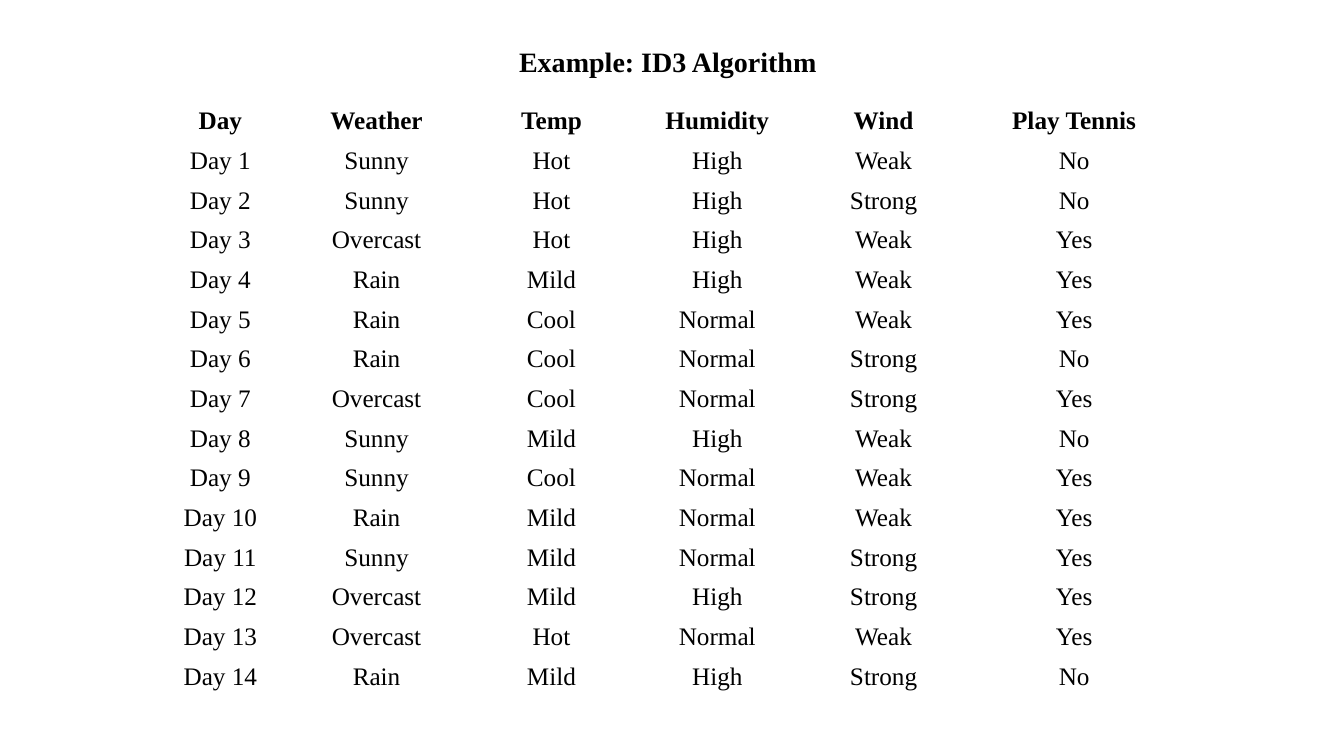
from dataclasses import astuple, dataclass

from lxml import etree
from pptx import Presentation
from pptx.dml.color import RGBColor
from pptx.enum.text import MSO_ANCHOR, MSO_AUTO_SIZE, PP_ALIGN
from pptx.oxml.ns import qn
from pptx.slide import Slide
from pptx.table import _Cell
from pptx.text.text import _Paragraph
from pptx.util import Inches, Pt

CENTER = PP_ALIGN.CENTER
MIDDLE = MSO_ANCHOR.MIDDLE
FIT_SHAPE = MSO_AUTO_SIZE.SHAPE_TO_FIT_TEXT

SLIDE_WIDTH = Inches(13.33)
SLIDE_HEIGHT = Inches(7.5)


@dataclass(frozen=True)
class Theme:
    font: str = "Times New Roman"
    text: str = "000000"
    border: str = "FFFFFF"
    title_size: int = 20
    table_size: int = 18
    border_width: int = 1


@dataclass(frozen=True)
class Box:
    """Place and size in percent of the slide."""
    left: float
    top: float
    width: float
    height: float

    def lengths(self) -> tuple[int, int, int, int]:
        return (
            round(SLIDE_WIDTH * self.left / 100),
            round(SLIDE_HEIGHT * self.top / 100),
            round(SLIDE_WIDTH * self.width / 100),
            round(SLIDE_HEIGHT * self.height / 100),
        )


@dataclass(frozen=True)
class Column:
    heading: str
    weight: float


@dataclass(frozen=True)
class Observation:
    weather: str
    temperature: str
    humidity: str
    wind: str
    play_tennis: str


THEME = Theme()
TITLE_BOX = Box(37.88, 5.2, 50, 5.87)
TABLE_BOX = Box(11.63, 13.33, 76.29, 78.8)
CELL_MARGIN = Inches(0.01)

COLUMNS = [
    Column("Day", 1.27),
    Column("Weather", 1.83),
    Column("Temp", 1.64),
    Column("Humidity", 1.65),
    Column("Wind", 1.65),
    Column("Play Tennis", 2.13),
]

OBSERVATIONS = [
    Observation("Sunny", "Hot", "High", "Weak", "No"),
    Observation("Sunny", "Hot", "High", "Strong", "No"),
    Observation("Overcast", "Hot", "High", "Weak", "Yes"),
    Observation("Rain", "Mild", "High", "Weak", "Yes"),
    Observation("Rain", "Cool", "Normal", "Weak", "Yes"),
    Observation("Rain", "Cool", "Normal", "Strong", "No"),
    Observation("Overcast", "Cool", "Normal", "Strong", "Yes"),
    Observation("Sunny", "Mild", "High", "Weak", "No"),
    Observation("Sunny", "Cool", "Normal", "Weak", "Yes"),
    Observation("Rain", "Mild", "Normal", "Weak", "Yes"),
    Observation("Sunny", "Mild", "Normal", "Strong", "Yes"),
    Observation("Overcast", "Mild", "High", "Strong", "Yes"),
    Observation("Overcast", "Hot", "Normal", "Weak", "Yes"),
    Observation("Rain", "Mild", "High", "Strong", "No"),
]


def write(paragraph: _Paragraph, text: str, size: int, bold: bool) -> None:
    paragraph.text = text
    paragraph.font.name = THEME.font
    paragraph.font.size = Pt(size)
    paragraph.font.bold = bold
    paragraph.font.color.rgb = RGBColor.from_string(THEME.text)


def add_title(slide: Slide, text: str) -> None:
    frame = slide.shapes.add_textbox(*TITLE_BOX.lengths()).text_frame
    frame.word_wrap = True
    frame.auto_size = FIT_SHAPE
    write(frame.paragraphs[0], text, THEME.title_size, bold=True)


def add_borders(cell: _Cell) -> None:
    properties = cell._tc.get_or_add_tcPr()
    for side in ("a:lnL", "a:lnR", "a:lnT", "a:lnB"):
        line = etree.SubElement(properties, qn(side), w=str(Pt(THEME.border_width)))
        fill = etree.SubElement(line, qn("a:solidFill"))
        etree.SubElement(fill, qn("a:srgbClr"), val=THEME.border)


def fill_cell(cell: _Cell, text: str, bold: bool) -> None:
    cell.margin_left = cell.margin_top = cell.margin_right = CELL_MARGIN
    cell.margin_bottom = 0
    cell.vertical_anchor = MIDDLE
    add_borders(cell)
    cell.fill.background()
    paragraph = cell.text_frame.paragraphs[0]
    paragraph.alignment = CENTER
    write(paragraph, text, THEME.table_size, bold)


def add_observation_table(slide: Slide) -> None:
    rows = [tuple(column.heading for column in COLUMNS)]
    rows += [
        (f"Day {number}", *astuple(observation))
        for number, observation in enumerate(OBSERVATIONS, start=1)
    ]
    left, top, width, height = TABLE_BOX.lengths()
    table = slide.shapes.add_table(
        len(rows), len(COLUMNS), left, top, width, height
    ).table
    table.first_row = False
    table.horz_banding = False

    # Column widths follow their weights
    total_weight = sum(column.weight for column in COLUMNS)
    for table_column, column in zip(table.columns, COLUMNS):
        table_column.width = round(width * column.weight / total_weight)

    # Bold headings, then one row per day
    for row_index, row in enumerate(rows):
        for column_index, text in enumerate(row):
            fill_cell(table.cell(row_index, column_index), text, bold=row_index == 0)


def main() -> None:
    presentation = Presentation()
    presentation.slide_width = SLIDE_WIDTH
    presentation.slide_height = SLIDE_HEIGHT
    slide = presentation.slides.add_slide(presentation.slide_layouts[6])
    add_observation_table(slide)
    add_title(slide, "Example: ID3 Algorithm")
    presentation.save("out.pptx")


if __name__ == "__main__":
    main()
